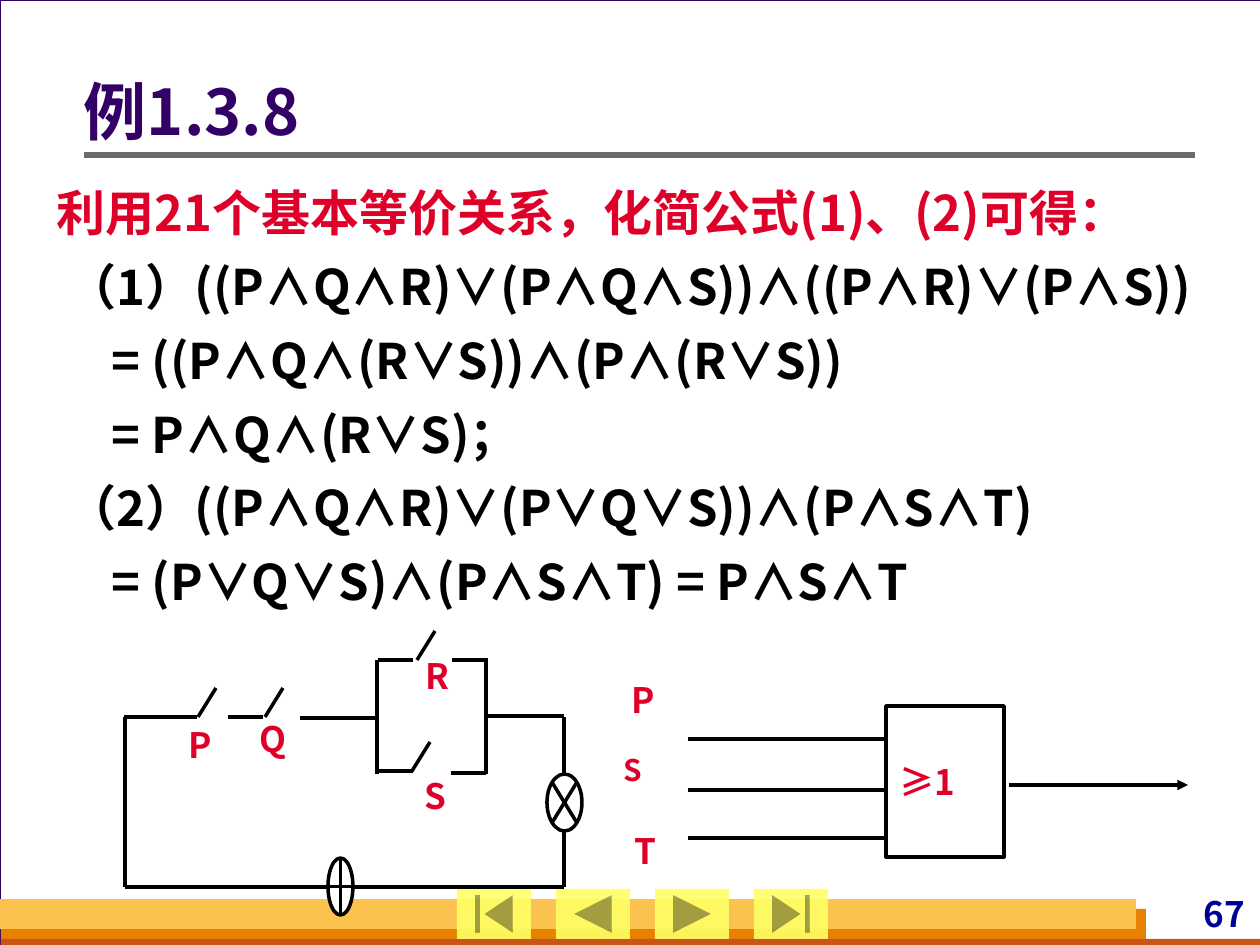
from dataclasses import dataclass

from lxml import etree
from pptx import Presentation
from pptx import util as u
from pptx.dml.color import RGBColor
from pptx.enum import shapes, text
from pptx.oxml.ns import qn

Shape = shapes.MSO_SHAPE
SCALE = 914400 / 126


@dataclass(frozen=True)
class Theme:
    """Colours, font and type sizes of the slide."""
    font: str = "Noto Sans CJK SC"
    backdrop: str = "D8DADA"
    paper: str = "FFFFFF"
    ink: str = "000000"
    accent: str = "DF0029"
    title: str = "330066"
    number: str = "000099"
    rule: str = "6B6B6B"
    orange: str = "E88000"
    rust: str = "C95616"
    amber: str = "FCC24F"
    button: str = "FFFF66"
    title_size: int = 36
    body_size: int = 28
    label_size: int = 20
    small_size: int = 17
    wire: int = 2


THEME = Theme()

BODY = [
    ("利用21个基本等价关系，化简公式(1)、(2)可得：", 0, THEME.accent),
    ("（1）((P∧Q∧R)∨(P∧Q∧S))∧((P∧R)∨(P∧S))", 11, THEME.ink),
    ("= ((P∧Q∧(R∨S))∧(P∧(R∨S))", 55, THEME.ink),
    ("= P∧Q∧(R∨S)；", 55, THEME.ink),
    ("（2）((P∧Q∧R)∨(P∨Q∨S))∧(P∧S∧T)", 11, THEME.ink),
    ("= (P∨Q∨S)∧(P∧S∧T) = P∧S∧T", 55, THEME.ink),
]
CIRCUIT_LABELS = [
    ("S", (412, 769, 35, 86)),
    ("R", (413, 649, 35, 86)),
    ("Q", (247, 712, 35, 77)),
    ("P", (176, 717, 37, 67)),
]
CIRCUIT_WIRES = [
    (124, 717, 197, 717), (228, 717, 263, 717), (300, 718, 377, 718),
    (377, 660, 377, 774), (378, 660, 413, 660), (452, 660, 488, 660),
    (378, 771, 413, 771), (451, 773, 486, 773), (486, 660, 486, 774),
    (488, 716, 564, 716), (564, 717, 564, 774), (564, 830, 564, 887),
    (354, 887, 564, 887), (125, 887, 328, 887), (125, 717, 125, 887),
]
SWITCHES = [(198, 717), (265, 717), (417, 660), (412, 771)]
BUTTONS = [
    Shape.ACTION_BUTTON_BEGINNING,
    Shape.ACTION_BUTTON_BACK_OR_PREVIOUS,
    Shape.ACTION_BUTTON_FORWARD_OR_NEXT,
    Shape.ACTION_BUTTON_END,
]


def px(*lengths):
    """Turn pixel lengths into EMU."""
    return [u.Emu(round(length * SCALE)) for length in lengths]


def style(paragraph, size, color, align, spacing=None):
    """Format a paragraph in the bold slide font."""
    paragraph.alignment = align
    if spacing:
        paragraph.line_spacing = spacing
    font = paragraph.font
    font.name, font.size, font.bold = THEME.font, u.Pt(size), True
    font.color.rgb = RGBColor.from_string(color)
    properties = paragraph._p.pPr.find(qn("a:defRPr"))
    etree.SubElement(properties, qn("a:ea"), typeface=THEME.font)


def set_frame(frame, margins, anchor=text.MSO_ANCHOR.TOP):
    """Set wrapping, anchor and the four insets of a text frame."""
    frame.word_wrap = True
    frame.auto_size = text.MSO_AUTO_SIZE.NONE
    frame.vertical_anchor = anchor
    (frame.margin_left, frame.margin_top,
     frame.margin_right, frame.margin_bottom) = px(*margins)


def add_block(slide, kind, box, fill=None, line=None, width=THEME.wire):
    """Add a preset shape with flat fill and outline."""
    shape = slide.shapes.add_shape(kind, *px(*box))
    shape.shadow.inherit = False
    if fill:
        shape.fill.solid()
        shape.fill.fore_color.rgb = RGBColor.from_string(fill)
    else:
        shape.fill.background()
    if line:
        shape.line.color.rgb = RGBColor.from_string(line)
        shape.line.width = u.Pt(width)
    else:
        shape.line.fill.background()
    return shape


def add_line(slide, ends, color=THEME.ink, width=THEME.wire, arrow=False):
    """Add a straight line, with an arrowhead at its end if asked."""
    line = slide.shapes.add_connector(shapes.MSO_CONNECTOR.STRAIGHT, *px(*ends))
    line.line.color.rgb = RGBColor.from_string(color)
    line.line.width = u.Pt(width)
    if arrow:
        etree.SubElement(line.line._get_or_add_ln(), qn("a:tailEnd"), type="triangle")
    etree.SubElement(line._element.spPr, qn("a:effectLst"))


def add_label(slide, words, box, fill=THEME.paper, line=None, size=THEME.label_size,
              spacing=None, anchor=text.MSO_ANCHOR.TOP):
    """Add a rectangle holding a red label."""
    shape = add_block(slide, Shape.RECTANGLE, box, fill, line)
    set_frame(shape.text_frame, (13, 6, 13, 6), anchor)
    shape.text_frame.text = words
    style(shape.text_frame.paragraphs[0], size, THEME.accent, text.PP_ALIGN.JUSTIFY, spacing)


def add_background(slide):
    """Add the page, footer bars, page number and navigation buttons."""
    slide.background.fill.solid()
    slide.background.fill.fore_color.rgb = RGBColor.from_string(THEME.backdrop)
    add_block(slide, Shape.RECTANGLE, (0, 0, 1261, 945), THEME.paper, THEME.title, 0.75)
    add_block(slide, Shape.RECTANGLE, (1, 909, 1145, 36), THEME.orange)
    add_block(slide, Shape.RECTANGLE, (1, 939, 1260, 10), THEME.rust)
    add_block(slide, Shape.RECTANGLE, (0, 899, 1136, 30), THEME.amber)
    number = slide.shapes.add_textbox(*px(1096, 892, 154, 42)).text_frame
    set_frame(number, (5, 0, 5, 0))
    number.text = "67"
    style(number.paragraphs[0], THEME.label_size, THEME.number, text.PP_ALIGN.RIGHT)
    add_line(slide, (84, 155, 1195, 155), THEME.rule, 3)
    for index, kind in enumerate(BUTTONS):
        button = add_block(slide, kind, (457 + 99 * index, 889, 74, 50), THEME.button)
        color = button._element.spPr.find(qn("a:solidFill"))[0]
        etree.SubElement(color, qn("a:alpha"), val="90000")


def add_title(slide):
    """Place the title placeholder above the rule."""
    title = slide.shapes.title
    title.left, title.top, title.width, title.height = px(84, 67, 1111, 97)
    set_frame(title.text_frame, (0, 6, 13, 6), text.MSO_ANCHOR.MIDDLE)
    title.text_frame.text = "例1.3.8"
    style(title.text_frame.paragraphs[0], THEME.title_size, THEME.title, text.PP_ALIGN.LEFT, 0.9)
    slide.shapes._spTree.append(title._element)


def add_body(slide):
    """Add the derivation, each line indented by its level."""
    frame = slide.shapes.add_textbox(*px(44, 165, 1261, 451)).text_frame
    set_frame(frame, (13, 6, 13, 6))
    frame.text = "\n".join(words for words, _, _ in BODY)
    for index, (paragraph, (_, indent, color)) in enumerate(zip(frame.paragraphs, BODY)):
        style(paragraph, THEME.body_size, color, text.PP_ALIGN.JUSTIFY, 1.2)
        paragraph._p.pPr.set("marL", str(px(indent)[0]))
        if index:
            paragraph.space_before = u.Pt(1.8)


def add_circuit(slide):
    """Draw the switch circuit with its lamp and source."""
    for words, box in CIRCUIT_LABELS:
        add_label(slide, words, box)
    for ends in CIRCUIT_WIRES:
        add_line(slide, ends)
    for x, y in SWITCHES:
        add_line(slide, (x, y, x + 18, y - 29))
    for kind, box in [(Shape.FLOWCHART_SUMMING_JUNCTION, (547, 774, 35, 57)),
                      (Shape.FLOWCHART_OR, (328, 858, 25, 57))]:
        add_block(slide, kind, box, THEME.paper, THEME.ink)


def add_gate(slide):
    """Draw the logic gate with three inputs and one output."""
    add_label(slide, "P", (619, 672, 78, 81))
    add_label(slide, "T", (621, 824, 79, 91), fill=None)
    add_label(slide, "S", (610, 750, 79, 52), size=THEME.small_size, spacing=0.9)
    add_label(slide, "≥1", (886, 706, 118, 151), line=THEME.ink, anchor=text.MSO_ANCHOR.MIDDLE)
    for y in (739, 790, 838):
        add_line(slide, (688, y, 886, y))
    add_line(slide, (1009, 785, 1188, 785), arrow=True)


def main():
    """Build the slide and save it."""
    presentation = Presentation()
    presentation.slide_width, presentation.slide_height = px(1260, 945)
    slide = presentation.slides.add_slide(presentation.slide_layouts[5])
    add_background(slide)
    add_title(slide)
    add_body(slide)
    add_circuit(slide)
    add_gate(slide)
    presentation.save("out.pptx")


if __name__ == "__main__":
    main()
